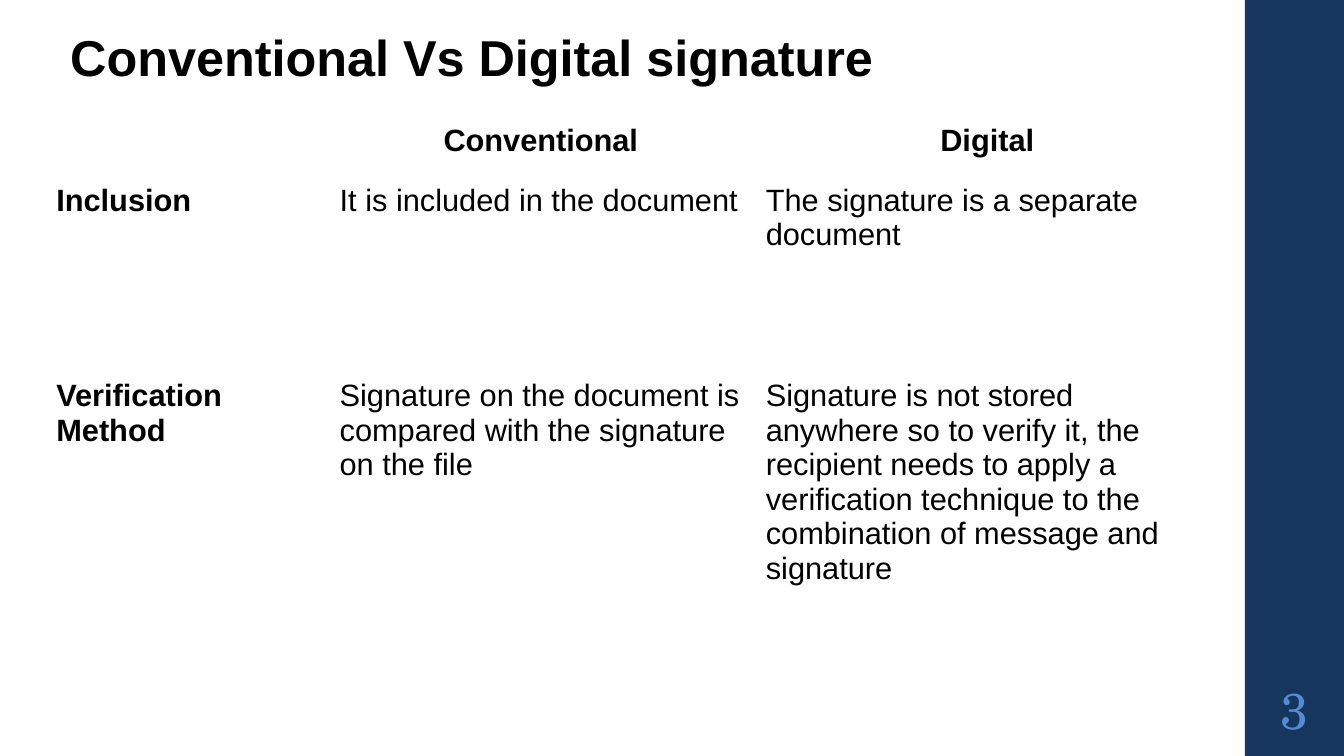
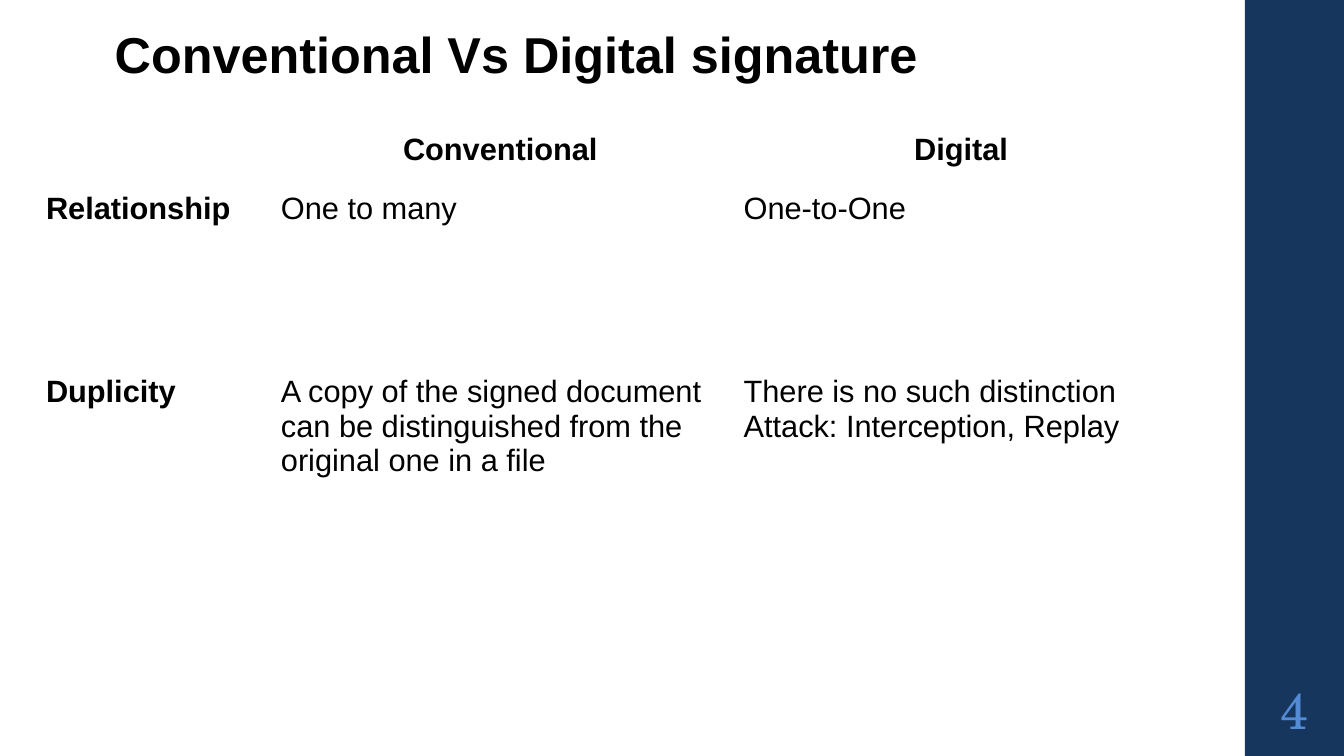
"""Build two slides comparing conventional and digital signatures."""
from dataclasses import dataclass

from pptx import Presentation
from pptx.dml.color import RGBColor as Rgb
from pptx.enum.shapes import MSO_SHAPE as Shape
from pptx.enum.text import MSO_ANCHOR as Anchor, MSO_AUTO_SIZE as AutoSize, PP_ALIGN as Align
from pptx.util import Cm, Pt


@dataclass(frozen=True)
class Theme:
    """Hold the page measures, colours, fonts and type sizes."""
    width: float = 33.87
    height: float = 19.05
    band_left: float = 31.37
    band: Rgb = Rgb(0x17, 0x36, 0x5D)
    number: Rgb = Rgb(0x53, 0x8C, 0xD5)
    ink: Rgb = Rgb(0, 0, 0)
    body_font: str = "Arial"
    number_font: str = "TeX Gyre Schola"
    heading_size: Pt = Pt(36)
    table_size: Pt = Pt(22)


THEME = Theme()
TITLE_FONT = {"name": THEME.body_font, "size": THEME.heading_size, "bold": True}
NUMBER_FONT = {"name": THEME.number_font, "size": THEME.heading_size, "bold": False}
LABEL_FONT = {"name": THEME.body_font, "size": THEME.table_size, "bold": True}
ENTRY_FONT = {**LABEL_FONT, "bold": False}

COMPARISONS = [
    {
        "number": 3,
        "title_box": (1.52, 0.69, 26.92, 1.65),
        "table_corner": (1.12, 2.97),
        "columns": (7.14, 10.74, 11.76),
        "rows": (1.5, 4.93, 7.42),
        "entries": [
            ("Inclusion", "It is included in the document",
             "The signature is a separate document"),
            ("Verification\nMethod",
             "Signature on the document is compared with the signature on the file",
             "Signature is not stored anywhere so to verify it, the recipient needs to "
             "apply a verification technique to the combination of message and signature"),
        ],
    },
    {
        "number": 4,
        "title_box": (2.64, 0.61, 27.74, 1.65),
        "table_corner": (0.86, 3.18),
        "columns": (5.92, 11.66, 11.56),
        "rows": (1.5, 4.62, 7.42),
        "entries": [
            ("Relationship", "One to many", "One-to-One"),
            ("Duplicity",
             "A copy of the signed document can be distinguished from the original one in a file",
             "There is no such distinction\nAttack: Interception, Replay"),
        ],
    },
]


def apply(target, values):
    """Set each named attribute on the target."""
    for name, value in values.items():
        setattr(target, name, value)


def margins(across, down):
    """Return equal side margins and equal top and bottom margins."""
    return {"margin_left": Cm(across), "margin_right": Cm(across),
            "margin_top": Cm(down), "margin_bottom": Cm(down)}


def write(frame, text, font, colour=THEME.ink, **paragraph_format):
    """Fill a text frame and format its paragraphs and runs."""
    frame.text = text
    for paragraph in frame.paragraphs:
        apply(paragraph, paragraph_format)
        for run in paragraph.runs:
            apply(run.font, font)
            run.font.color.rgb = colour


def add_band(slide, number):
    """Draw the side band with the slide number at its foot."""
    left, width = Cm(THEME.band_left), Cm(THEME.width - THEME.band_left)
    band = slide.shapes.add_shape(Shape.RECTANGLE, left, 0, width, Cm(THEME.height))
    band.shadow.inherit = False
    band.fill.solid()
    band.fill.fore_color.rgb = THEME.band
    band.line.fill.background()
    frame = slide.shapes.add_textbox(left, Cm(17.15), width, Cm(1.65)).text_frame
    apply(frame, {"word_wrap": True, "vertical_anchor": Anchor.MIDDLE, **margins(0.13, 0.13)})
    write(frame, str(number), NUMBER_FONT, THEME.number,
          alignment=Align.CENTER, line_spacing=0.9)


def set_title(slide, text, box):
    """Place and format the title placeholder."""
    title = slide.shapes.title
    apply(title, dict(zip(("left", "top", "width", "height"), map(Cm, box))))
    apply(title.text_frame, {"word_wrap": True, "vertical_anchor": Anchor.BOTTOM,
                             "auto_size": AutoSize.SHAPE_TO_FIT_TEXT, **margins(0.25, 0.13)})
    write(title.text_frame, text, TITLE_FONT, alignment=Align.LEFT, line_spacing=0.9)


def add_comparison(slide, corner, columns, rows, entries):
    """Add the plain table with bold headings and row labels."""
    content = [("", "Conventional", "Digital"), *entries]
    table = slide.shapes.add_table(len(rows), len(columns), *map(Cm, corner),
                                   Cm(sum(columns)), Cm(sum(rows))).table
    apply(table, {"first_row": False, "horz_banding": False})
    for column, width in zip(table.columns, columns):
        column.width = Cm(width)
    for row_index, (row, height, texts) in enumerate(zip(table.rows, rows, content)):
        row.height = Cm(height)
        for column_index, (cell, text) in enumerate(zip(row.cells, texts)):
            is_heading = row_index == 0
            is_label = is_heading or column_index == 0
            cell.fill.background()
            apply(cell, {"vertical_anchor": Anchor.TOP, **margins(0.3, 0.15)})
            write(cell.text_frame, text, LABEL_FONT if is_label else ENTRY_FONT,
                  alignment=Align.CENTER if is_heading else Align.LEFT)


def main():
    """Build and save the presentation."""
    deck = Presentation()
    apply(deck, {"slide_width": Cm(THEME.width), "slide_height": Cm(THEME.height)})
    title_only = deck.slide_layouts.get_by_name("Title Only")
    for comparison in COMPARISONS:
        slide = deck.slides.add_slide(title_only)
        add_band(slide, comparison["number"])
        set_title(slide, "Conventional Vs Digital signature", comparison["title_box"])
        add_comparison(slide, comparison["table_corner"], comparison["columns"],
                       comparison["rows"], comparison["entries"])
    deck.save("out.pptx")


if __name__ == "__main__":
    main()
